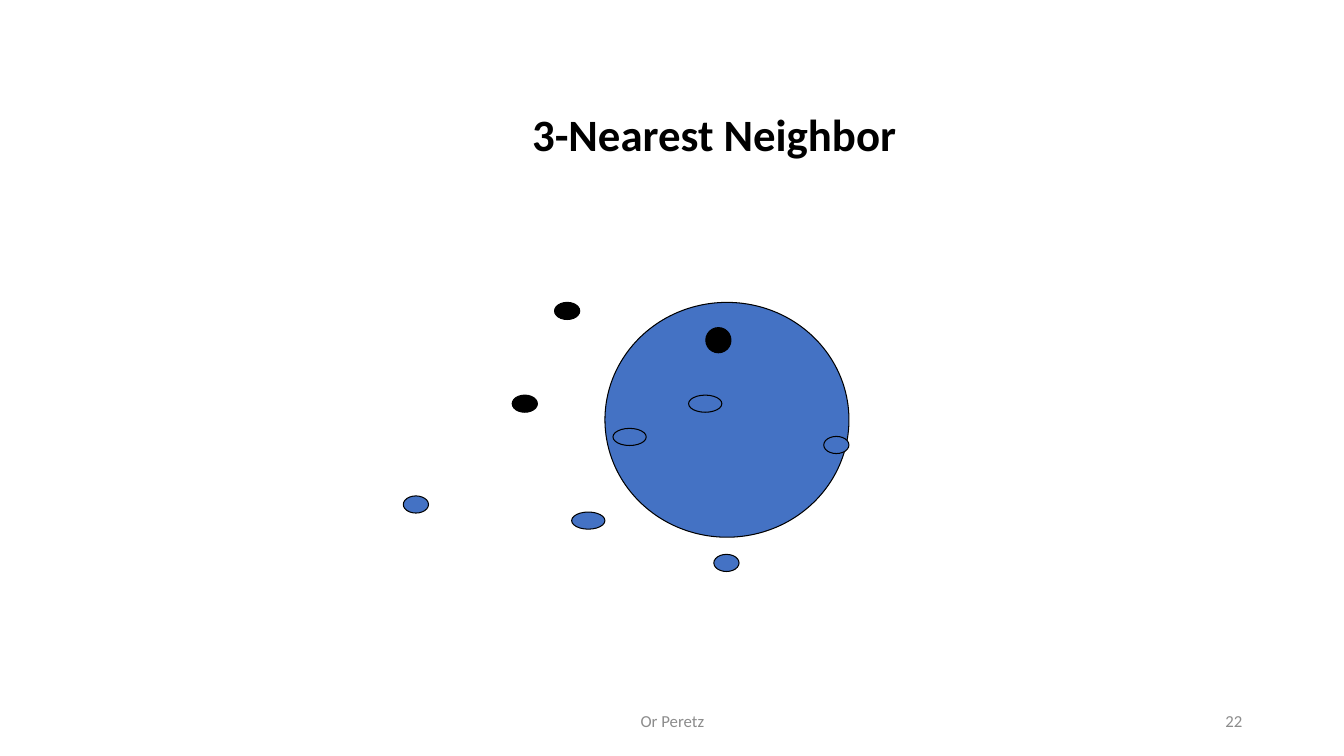
from dataclasses import dataclass

from pptx import Presentation
from pptx.dml.color import RGBColor
from pptx.enum import shapes, text
from pptx.util import Inches, Pt

BLUE, BLACK, GRAY = "4472C4", "000000", "8C8C8C"


@dataclass
class Ellipse:
    left: float
    top: float
    width: float = 0.25
    height: float = 0.17
    fill: str = BLUE


@dataclass
class Footer:
    left: float
    width: float
    words: str
    alignment: text.PP_ALIGN


NEIGHBORHOOD = Ellipse(6, 3, 2.42, 2.33)
POINTS = [
    Ellipse(5.08, 3.92, fill=BLACK),
    Ellipse(6.83, 3.92, width=0.33),
    Ellipse(8.17, 4.33),
    Ellipse(5.5, 3, fill=BLACK),
    Ellipse(7, 3.25, height=0.25, fill=BLACK),
    Ellipse(4, 4.92),
    Ellipse(7.08, 5.5),
    Ellipse(5.67, 5.08, width=0.33),
    Ellipse(6.08, 4.25, width=0.33),
]
FOOTERS = [
    Footer(9.42, 3, "22", text.PP_ALIGN.RIGHT),
    Footer(4.42, 4.5, "Or Peretz", text.PP_ALIGN.CENTER),
]


def color(value: str) -> RGBColor:
    return RGBColor.from_string(value)


def place(shape, left: float, top: float, width: float, height: float) -> None:
    shape.left, shape.top = Inches(left), Inches(top)
    shape.width, shape.height = Inches(width), Inches(height)


def write(shape, words: str, size: float, fill: str,
          alignment: text.PP_ALIGN, bold: bool = False) -> None:
    frame = shape.text_frame
    frame.text = words
    frame.word_wrap = True
    frame.vertical_anchor = text.MSO_ANCHOR.MIDDLE
    paragraph = frame.paragraphs[0]
    paragraph.alignment = alignment
    font = paragraph.runs[0].font
    font.name, font.size, font.bold = "Calibri", Pt(size), bold
    font.color.rgb = color(fill)


def draw_ellipse(slide, ellipse: Ellipse) -> None:
    shape = slide.shapes.add_shape(
        shapes.MSO_SHAPE.OVAL, Inches(ellipse.left), Inches(ellipse.top),
        Inches(ellipse.width), Inches(ellipse.height))
    shape.shadow.inherit = False
    shape.fill.solid()
    shape.fill.fore_color.rgb = color(ellipse.fill)
    shape.line.color.rgb = color(BLACK)
    shape.line.width = Pt(0.75)


def draw_footer(slide, footer: Footer) -> None:
    box = slide.shapes.add_textbox(
        Inches(footer.left), Inches(6.95), Inches(footer.width), Inches(0.4))
    write(box, footer.words, 12, GRAY, footer.alignment)


def main() -> None:
    presentation = Presentation()
    presentation.slide_width = Inches(13.33)
    presentation.slide_height = Inches(7.5)
    slide = presentation.slides.add_slide(presentation.slide_layouts[5])

    # Title
    title = slide.shapes.title
    place(title, 2.62, 0.94, 8.93, 0.83)
    write(title, "3-Nearest Neighbor", 32, BLACK, text.PP_ALIGN.CENTER, bold=True)
    title.text_frame.paragraphs[0].line_spacing = 0.9

    # Neighborhood circle with the data points over it
    for ellipse in [NEIGHBORHOOD, *POINTS]:
        draw_ellipse(slide, ellipse)

    # Slide number and author
    for footer in FOOTERS:
        draw_footer(slide, footer)

    presentation.save("out.pptx")


if __name__ == "__main__":
    main()
